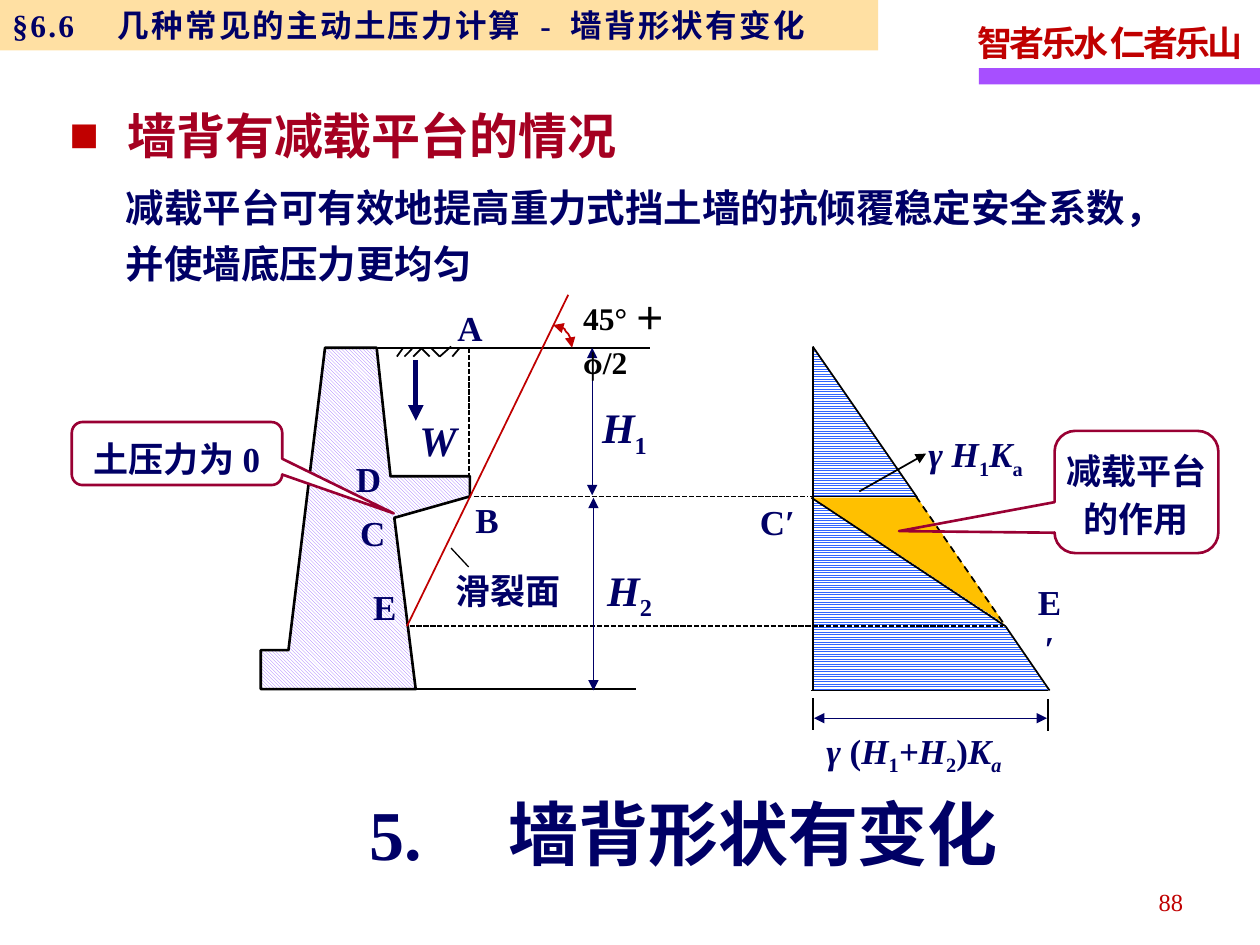
import math
from lxml import etree
from pptx import Presentation, util as u
from pptx.dml.color import RGBColor
from pptx.enum import dml, shapes, text
from pptx.oxml.ns import qn

NAVY, RED, WINE, BLACK = "000066", "C00000", "990033", "000000"
SANS, SERIF = "Noto Sans CJK SC", "Times New Roman"
PAT, DASH, ALIGN, TOP = dml.MSO_PATTERN, dml.MSO_LINE, text.PP_ALIGN, text.MSO_ANCHOR.TOP
MID = text.MSO_ANCHOR.MIDDLE


def rgb(code):
    return RGBColor.from_string(code)


def size(*vals):
    return [u.Cm(2.54 * v) for v in vals]


def sub(node, tag, **attrs):
    return etree.SubElement(node, qn(tag), attrs)


class Slide:
    """Hold the style and the current slide, and draw each kind of element."""

    def __init__(self, deck):
        self.page = deck.slides.add_slide(deck.slide_layouts[1])
        self.items = self.page.shapes

    def fill_in(self, frame, parts, pt=20, color=NAVY, font=SERIF, bold=True, space=1.15,
                align=ALIGN.LEFT, anchor=TOP, wrap=True, track=0, side=0.1, mark=None):
        form = dict(word_wrap=wrap, auto_size=text.MSO_AUTO_SIZE.NONE, vertical_anchor=anchor)
        pads = dict(zip(("margin_left", "margin_right", "margin_top", "margin_bottom"),
                        size(side, side, 0.05, 0.05)))
        for key, val in {**form, **pads}.items():
            setattr(frame, key, val)
        para = frame.paragraphs[0]
        if mark:
            props = para._p.get_or_add_pPr()
            left = size(0.46)[0]
            props.set("marL", str(left))
            props.set("indent", str(-left))
            sub(sub(props, "a:buClr"), "a:srgbClr", val=mark)
            sub(props, "a:buChar", char="■")
        para.alignment, para.line_spacing, para.space_before = align, space, u.Pt(0)
        if isinstance(parts, str):
            parts = [(parts, "")]
        for words, flag in parts:
            for num, line in enumerate(words.split("\n")):
                if num:
                    para.add_line_break()
                run = para.add_run()
                run.text = line
                look = dict(size=u.Pt(pt), bold=bold, italic="i" in flag, name=font)
                for key, val in look.items():
                    setattr(run.font, key, val)
                run.font.color.rgb = rgb(color)
                props = run._r.get_or_add_rPr()
                sub(props, "a:ea", typeface=SANS)
                if "_" in flag:
                    props.set("baseline", "-25000")
                if track:
                    props.set("spc", str(int(track * 100)))

    def label(self, box, parts, **look):
        self.fill_in(self.items.add_textbox(*size(*box)).text_frame, parts, **look)

    def holder(self, num, box, words, **look):
        item = self.page.placeholders[num]
        for key, val in zip(("left", "top", "width", "height"), size(*box)):
            setattr(item, key, val)
        self.fill_in(item.text_frame, words, **look)

    def paint(self, item, fill=None, line=None, width=1.5):
        item.shadow.inherit = False
        if isinstance(fill, tuple):
            item.fill.patterned()
            item.fill.pattern = fill[0]
            item.fill.fore_color.rgb, item.fill.back_color.rgb = rgb(fill[1]), rgb("FFFFFF")
        elif fill:
            item.fill.solid()
            item.fill.fore_color.rgb = rgb(fill)
        else:
            item.fill.background()
        if line:
            item.line.color.rgb, item.line.width = rgb(line), u.Pt(width)
        else:
            item.line.fill.background()

    def shape(self, kind, box, adj=(), **look):
        item = self.items.add_shape(kind, *size(*box))
        for num, val in enumerate(adj):
            item.adjustments[num] = val
        self.paint(item, **look)
        return item

    def outline(self, dots, close=True, ends="", **look):
        dots = [(100 * x, 100 * y) for x, y in dots]
        pen = self.items.build_freeform(*dots[0], scale=size(0.01)[0])
        pen.add_line_segments(dots[1:], close=close)
        item = pen.convert_to_shape()
        self.paint(item, **look)
        self.tips(item, ends)

    def tips(self, item, ends):
        for side, tag in (("h", "a:headEnd"), ("t", "a:tailEnd")):
            if side in ends:
                sub(item.line._get_or_add_ln(), tag, type="triangle")

    def line(self, ax, ay, bx, by, color=BLACK, width=1, dash=None, ends=""):
        item = self.items.add_connector(shapes.MSO_CONNECTOR.STRAIGHT, *size(ax, ay, bx, by))
        item.line.color.rgb, item.line.width = rgb(color), u.Pt(width)
        if dash:
            item.line.dash_style = dash
        self.tips(item, ends)
        sub(item._element.spPr, "a:effectLst")


def main():
    deck = Presentation()
    deck.slide_width, deck.slide_height = size(10, 7.5)
    s = Slide(deck)
    kind = shapes.MSO_SHAPE
    s.shape(kind.RECTANGLE, (7.77, 0.54, 2.23, 0.13), fill="A74FFF")
    s.label((7.66, 0.07, 2.36, 0.49), "智者乐水 仁者乐山", color=RED, wrap=False, track=-1.7)

    s.outline([(6.45, 2.75), (6.45, 5.48), (8.32, 5.48)], fill=(PAT.LIGHT_HORIZONTAL, "3366FF"))
    s.outline([(7.28, 3.95), (6.45, 3.95), (7.97, 4.95)], fill="FFC000")
    wall = [(2.58, 2.76), (2.99, 2.76), (3.1, 3.78), (3.73, 3.78), (3.73, 3.94),
            (3.13, 4.11), (3.3, 5.47), (2.07, 5.47), (2.07, 5.16), (2.29, 5.16)]
    s.outline(wall, fill=(PAT.LIGHT_DOWNWARD_DIAGONAL, "9966FF"), line=BLACK)

    s.label((7.16, 6.96, 2.33, 0.4), "88", pt=14, color=RED, bold=False, align=ALIGN.RIGHT)
    s.holder(0, (1.89, 6.22, 7.07, 0.77), "5.　墙背形状有变化", pt=40, space=1,
             align=ALIGN.CENTER, anchor=MID)
    s.holder(1, (0.45, 0.55, 5.8, 0.69), "墙背有减载平台的情况", pt=28, color="A50021",
             font=SANS, space=1.5, mark=RED)
    s.label((0.9, 1.34, 8.55, 0.99),
            "减载平台可有效地提高重力式挡土墙的抗倾覆稳定安全系数，并使墙底压力更均匀",
            pt=22, font=SANS, space=1.2)

    for ends in ((3, 2.76, 5.16, 2.76), (3.31, 5.47, 5.05, 5.47), (6.45, 2.75, 6.45, 5.48),
                 (6.45, 2.75, 7.28, 3.95), (6.44, 5.48, 8.32, 5.48), (6.45, 5.54, 6.45, 5.79),
                 (6.43, 3.94, 7.28, 3.94), (6.44, 3.95, 7.98, 4.97), (8.32, 5.55, 8.32, 5.8),
                 (7.98, 4.97, 8.33, 5.48),
                 (3.2, 2.76, 3.15, 2.83), (3.27, 2.77, 3.21, 2.83), (3.35, 2.76, 3.28, 2.83),
                 (3.34, 2.76, 3.41, 2.83), (3.42, 2.76, 3.49, 2.83), (3.49, 2.83, 3.58, 2.75),
                 (3.59, 2.83, 3.65, 2.76)):
        s.line(*ends)
    for ends in ((3.72, 2.76, 3.72, 3.78), (3.76, 3.94, 6.41, 3.94), (3.25, 4.97, 7.96, 4.97)):
        s.line(*ends, dash=DASH.SQUARE_DOT)
    s.line(7.27, 3.94, 7.98, 4.97, dash=DASH.DASH)
    s.line(4.51, 2.34, 3.23, 4.97, color=RED)
    s.line(3.58, 4.35, 3.72, 4.5, width=0.75)
    s.line(6.82, 3.9, 7.35, 3.6, ends="t")
    s.line(3.3, 2.86, 3.3, 3.34, color=NAVY, width=3, ends="t")
    for ends in ((6.46, 5.7, 8.31, 5.7), (4.7, 2.76, 4.7, 3.93), (4.71, 3.95, 4.71, 5.48)):
        s.line(*ends, color=NAVY, width=0.75, ends="ht")
    arc = [math.radians(a) for a in range(0, 91, 6)]
    s.outline([(4.39 + 0.15 * math.cos(a), 2.76 - 0.18 * math.sin(a)) for a in arc],
              close=False, ends="ht", line=RED, width=1)

    for name, x, y, w, h in (("A", 3.53, 2.35, 0.4, 0.47), ("B", 3.67, 3.89, 0.39, 0.44),
                             ("C", 2.76, 3.99, 0.4, 0.44), ("D", 2.72, 3.56, 0.41, 0.44),
                             ("E", 2.86, 4.58, 0.39, 0.44), ("C′", 5.93, 3.89, 0.48, 0.47),
                             ("E′", 8.1, 4.72, 0.46, 0.44)):
        s.label((x, y, w, h), name, space=1.1, align=ALIGN.CENTER, anchor=MID)
    s.label((4.53, 2.28, 1.17, 0.45), "45°＋ϕ/2", pt=18, color=BLACK)
    s.label((3.52, 4.42, 1.14, 0.49), "滑裂面", font=SANS)
    s.label((3.23, 3.18, 0.63, 0.53), [("W", "i")], pt=24)
    for num, x, y in (("1", 4.68, 3.07), ("2", 4.72, 4.36)):
        s.label((x, y, 0.6, 0.47), [("H", "i"), (num, "_")], pt=24)
    s.label((7.27, 3.33, 1.01, 0.46), [("γ H", "i"), ("1", "_"), ("K", "i"), ("a", "_")])
    s.label((6.46, 5.68, 1.79, 0.49),
            [("γ ", "i"), ("(", ""), ("H", "i"), ("1", "_"), ("+H", "i"), ("2", "_"),
             (")", ""), ("K", "i"), ("a", "_i")])

    for box, adj, fill, words, font in (
            ((0.57, 3.35, 1.67, 0.5), (1.03, 0.95, 0.17), "FFFFFF", "土压力为0", SERIF),
            ((8.37, 3.42, 1.3, 0.97), (-1.45, 0.32, 0.17), None, "减载平台\n的作用", SANS)):
        call = s.shape(kind.ROUNDED_RECTANGULAR_CALLOUT, box, adj, fill=fill, line=WINE)
        s.fill_in(call.text_frame, words, font=font, align=ALIGN.CENTER, side=0)

    bar = s.shape(kind.RECTANGLE, (0, 0, 6.97, 0.4), fill="FFCC66")
    sub(bar._element.spPr.find(qn("a:solidFill"))[0], "a:alpha", val="60000")
    s.fill_in(bar.text_frame, "§6.6　几种常见的主动土压力计算 - 墙背形状有变化", pt=18,
              space=1, anchor=MID, track=1.3)
    deck.save("out.pptx")


if __name__ == "__main__":
    main()
